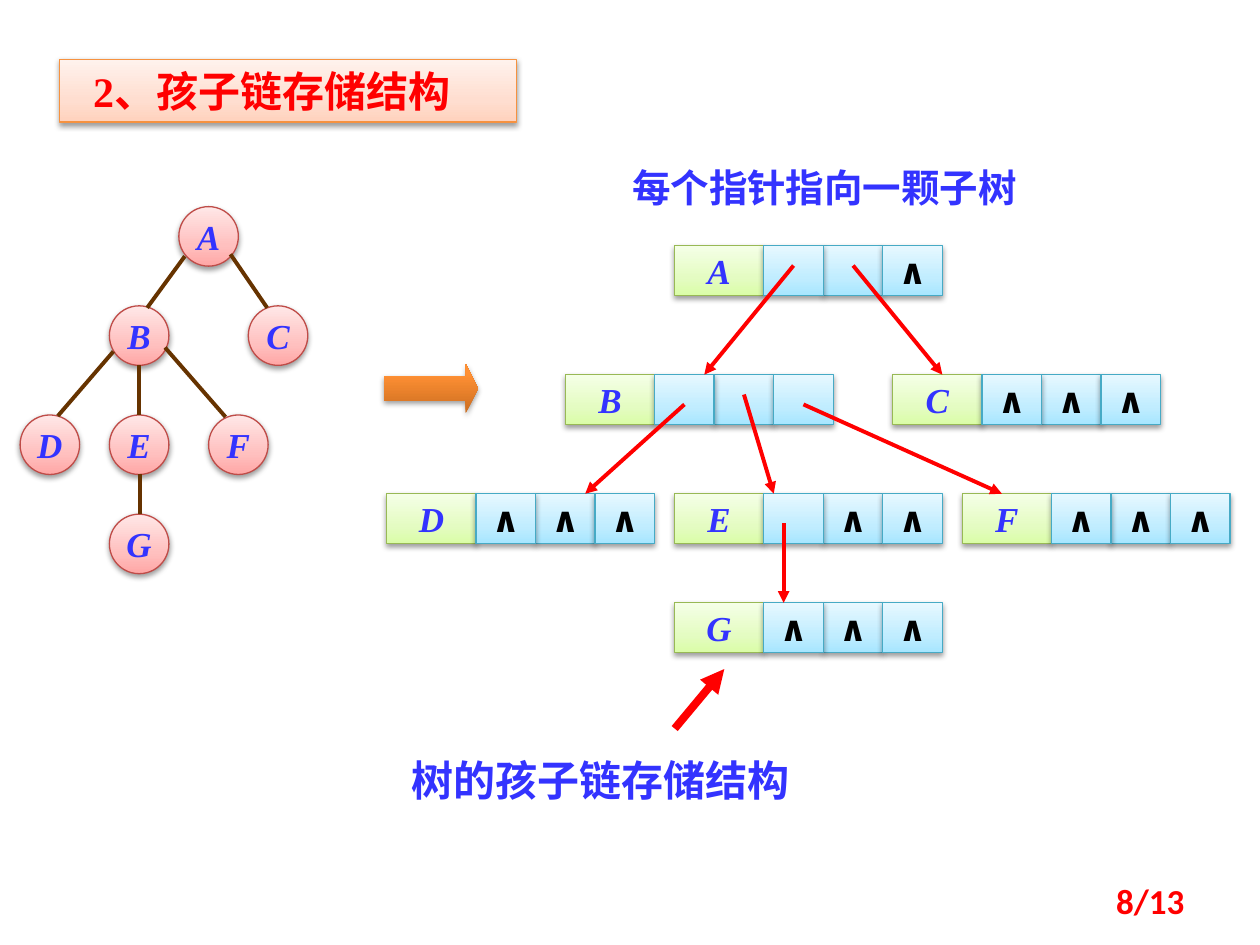
from dataclasses import dataclass

from lxml.etree import SubElement
from pptx import Presentation
from pptx.dml.color import RGBColor
from pptx.enum.shapes import MSO_CONNECTOR, MSO_SHAPE
from pptx.enum.text import MSO_ANCHOR, PP_ALIGN
from pptx.oxml.ns import qn
from pptx.util import Cm, Inches, Pt


@dataclass(frozen=True)
class Theme:
    """Colours, fonts and type sizes of the slide."""
    blue: str = "3333FF"
    red: str = "FF0000"
    black: str = "000000"
    brown: str = "663300"
    peach: tuple = ((0, "FFD2BD"), (35, "FFDED0"), (100, "FFF2ED"))
    pink: tuple = ((0, "FFA6A5"), (35, "FFC0BF"), (100, "FFE7E7"))
    green: tuple = ((0, "DAFDA7"), (35, "E4FCC2"), (100, "F5FFE7"))
    sky: tuple = ((0, "A7E6FF"), (35, "C1EDFF"), (100, "E7F8FF"))
    orange: tuple = ((0, "CC6E20"), (80, "FF9034"), (100, "FF9136"))
    peach_line: str = "F69240"
    pink_line: str = "BF4C48"
    green_line: str = "98B955"
    sky_line: str = "46AAC5"
    serif: str = "Times New Roman"
    sans: str = "Calibri"
    chinese: str = "Noto Sans CJK SC"
    title: int = 24
    heading: int = 22
    label: int = 20
    thin: float = 0.75
    edge: float = 2.25
    thick: float = 4.5


THEME = Theme()
CELL = Cm(0.2)


@dataclass(frozen=True)
class Box:
    """A region in EMU whose inside is measured in grid cells."""
    left: int
    top: int
    width: int = 0
    height: int = 0

    def point(self, column, row):
        """Return the slide position of a grid point."""
        return round(self.left + column * CELL), round(self.top + row * CELL)

    def area(self, column, row, columns, rows):
        """Return a smaller box spanning the given cells."""
        return Box(*self.point(column, row), round(columns * CELL), round(rows * CELL))

    def bounds(self):
        """Return the four numbers that place a shape."""
        return self.left, self.top, self.width, self.height


def inches(left, top, width=0, height=0):
    """Return a box given in inches."""
    return Box(Inches(left), Inches(top), Inches(width), Inches(height))


def write(shape, text, size, color, font, italic=False, align=PP_ALIGN.CENTER, wrap=False):
    """Put one bold line of text in a shape."""
    frame = shape.text_frame
    frame.text = text
    frame.word_wrap = wrap
    frame.vertical_anchor = MSO_ANCHOR.MIDDLE
    paragraph = frame.paragraphs[0]
    paragraph.alignment = align
    run = paragraph.runs[0]
    run.font.size = Pt(size)
    run.font.name = font
    run.font.bold = True
    run.font.italic = italic
    run.font.color.rgb = RGBColor.from_string(color)
    if not text.isascii() and font != THEME.sans:
        SubElement(run.font._element, qn("a:ea"), typeface=THEME.chinese)


def add_block(shapes, kind, box, stops, outline=None):
    """Add a shape with a vertical gradient and a soft shadow."""
    shape = shapes.add_shape(kind, *box.bounds())
    shape.fill.gradient()
    shape.fill.gradient_angle = 90
    properties = shape._element.spPr
    stop_list = properties.find(".//" + qn("a:gsLst"))
    stop_list.clear()
    for position, color in stops:
        stop = SubElement(stop_list, qn("a:gs"), pos=str(position * 1000))
        SubElement(stop, qn("a:srgbClr"), val=color)
    if outline:
        shape.line.color.rgb = RGBColor.from_string(outline)
        shape.line.width = Pt(THEME.thin)
    else:
        shape.line.fill.background()
    shape.shadow.inherit = False
    shadow = SubElement(properties.find(qn("a:effectLst")), qn("a:outerShdw"),
                        blurRad="40000", dist="20000", dir="5400000", rotWithShape="0")
    color = SubElement(shadow, qn("a:srgbClr"), val=THEME.black)
    SubElement(color, qn("a:alpha"), val="38000")
    return shape


def add_line(shapes, start, end, color, width, arrow=False):
    """Add a straight line, with an arrowhead at its end if asked."""
    connector = shapes.add_connector(MSO_CONNECTOR.STRAIGHT, *start, *end)
    connector.line.color.rgb = RGBColor.from_string(color)
    connector.line.width = Pt(width)
    properties = connector._element.spPr
    if arrow:
        SubElement(properties.find(qn("a:ln")), qn("a:tailEnd"), type="triangle")
    SubElement(properties, qn("a:effectLst"))


def add_caption(shapes, box, *style, **options):
    """Add a wrapped text box."""
    write(shapes.add_textbox(*box.bounds()), *style, wrap=True, **options)


def add_title(shapes, box):
    """Add the section title bar."""
    bar = add_block(shapes, MSO_SHAPE.RECTANGLE, box, THEME.peach, THEME.peach_line)
    write(bar, "2、孩子链存储结构", THEME.title, THEME.red, THEME.serif,
          align=PP_ALIGN.LEFT, wrap=True)
    bar.text_frame.margin_left = Inches(0.27)


def add_tree(shapes, box):
    """Draw the tree of round nodes and its edges."""
    nodes = {"A": (16, 0), "B": (9, 10), "C": (23, 10), "D": (0, 21),
             "E": (9, 21), "F": (19, 21), "G": (9, 31)}
    edges = [((16.6, 5), (12.8, 10.2)), ((21.2, 4.8), (24.9, 10.2)),
             ((9.4, 14.6), (3.8, 21.1)), ((12, 16), (12, 21)),
             ((14.6, 14.2), (20.7, 21.2)), ((12.1, 27), (12.1, 31))]
    for name, place in nodes.items():
        node = add_block(shapes, MSO_SHAPE.OVAL, box.area(*place, 6, 6),
                         THEME.pink, THEME.pink_line)
        write(node, name, THEME.label, THEME.blue, THEME.serif, italic=True)
    for start, end in edges:
        add_line(shapes, box.point(*start), box.point(*end), THEME.brown, THEME.edge)


def add_record(shapes, box, name, links):
    """Draw a name cell and three pointer cells, empty ones marked."""
    cell = add_block(shapes, MSO_SHAPE.RECTANGLE, box.area(0, 0, 9, 5),
                     THEME.green, THEME.green_line)
    write(cell, name, THEME.label, THEME.blue, THEME.serif, italic=True)
    for slot in (1, 0, 2):
        pointer = add_block(shapes, MSO_SHAPE.RECTANGLE, box.area(9 + 6 * slot, 0, 6, 5),
                            THEME.sky, THEME.sky_line)
        if slot >= links:
            write(pointer, "∧", THEME.label, THEME.black, THEME.sans)


def add_storage(shapes, box):
    """Draw the linked records and the arrow leading to them."""
    records = [("A", 2, 29, 0), ("B", 3, 18, 13), ("C", 0, 51, 13), ("D", 0, 0, 25),
               ("E", 1, 29, 25), ("F", 0, 58, 25), ("G", 0, 29, 36)]
    pointers = [((41, 2), (32, 13)), ((47, 2), (56, 13)), ((30, 16), (20, 25)),
                ((36, 15), (39, 25)), ((42, 16), (62, 25)), ((40, 28), (40, 36))]
    arrow = add_block(shapes, MSO_SHAPE.RIGHT_ARROW, box.area(-0.3, 11.9, 9.5, 5), THEME.orange)
    arrow.adjustments[0] = 0.5
    arrow.adjustments[1] = 0.25
    for name, links, column, row in records:
        add_record(shapes, box.area(column, row, 27, 5), name, links)
    for start, end in pointers:
        add_line(shapes, box.point(*start), box.point(*end), THEME.red, THEME.edge, True)


def add_conclusion(shapes, box):
    """Name the storage structure and point at it."""
    add_line(shapes, box.point(28, -2), box.point(33, -8), THEME.red, THEME.thick, True)
    add_caption(shapes, box, "树的孩子链存储结构", THEME.title, THEME.blue, THEME.chinese)


def main():
    """Build and save the slide."""
    presentation = Presentation()
    presentation.slide_width = Inches(10)
    presentation.slide_height = Inches(7.5)
    slide = presentation.slides.add_slide(presentation.slide_layouts[6])
    shapes = slide.shapes
    add_title(shapes, inches(0.47, 0.47, 3.63, 0.5))
    add_tree(shapes, inches(0.16, 1.64))
    add_storage(shapes.add_group_shape().shapes, inches(3.07, 1.95))
    add_conclusion(shapes.add_group_shape().shapes, inches(3.15, 5.94, 3.23, 0.5))
    add_caption(shapes, inches(7.17, 6.95, 2.33, 0.4), "8/13", THEME.label, THEME.red,
                THEME.sans, align=PP_ALIGN.RIGHT)
    add_caption(shapes, inches(4.92, 1.25, 3.67, 0.47), "每个指针指向一颗子树",
                THEME.heading, THEME.blue, THEME.chinese, align=PP_ALIGN.LEFT)
    presentation.save("out.pptx")


main()
